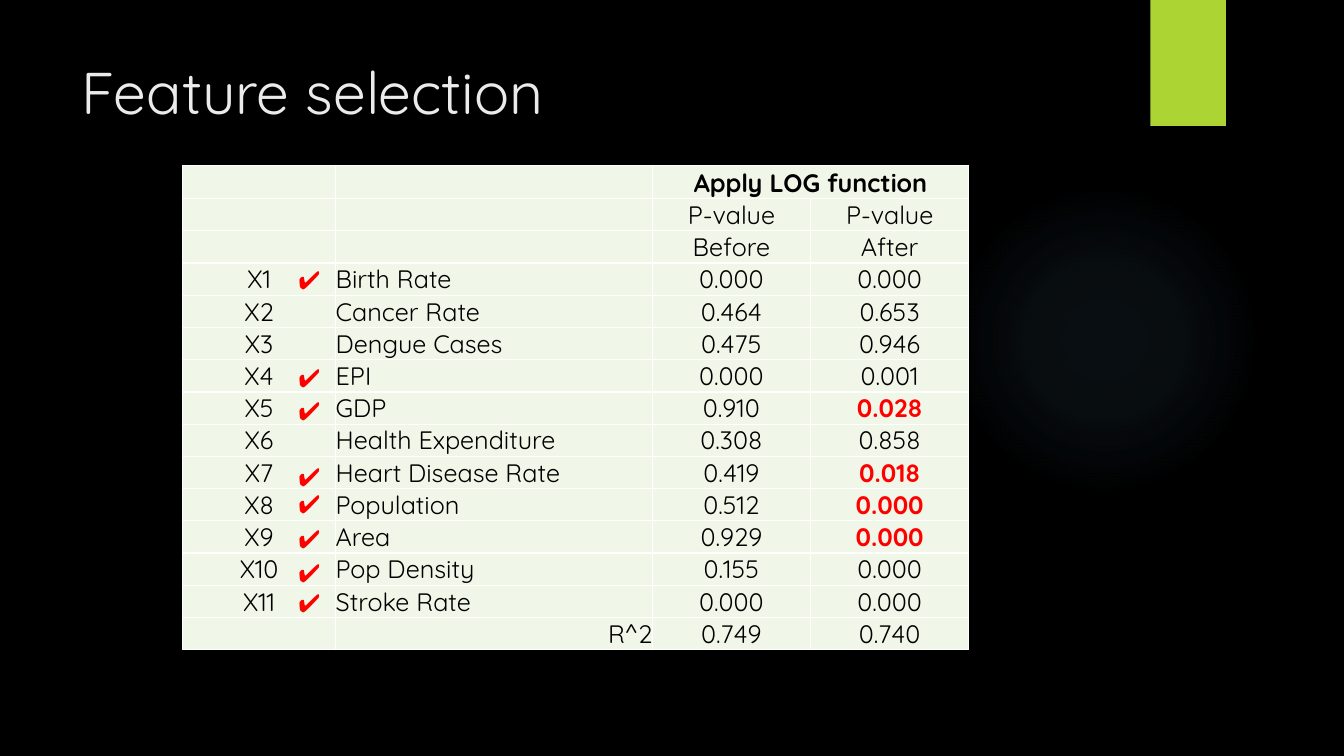
from lxml import etree
from pptx import Presentation, util as u
from pptx.dml.color import RGBColor
from pptx.enum import shapes, text
from pptx.oxml import parse_xml
from pptx.oxml.ns import nsdecls, qn

PX = 9144
SLIDE = (1333, 750)
TITLE = "Feature selection"
HEAD = [
    ("", "", "Apply LOG function", ""),
    ("", "", "P-value", "P-value"),
    ("", "", "Before", "After"),
]
FEATURES = [
    ("Birth Rate", "0.000", "0.000"),
    ("Cancer Rate", "0.464", "0.653"),
    ("Dengue Cases", "0.475", "0.946"),
    ("EPI", "0.000", "0.001"),
    ("GDP", "0.910", "0.028"),
    ("Health Expenditure", "0.308", "0.858"),
    ("Heart Disease Rate", "0.419", "0.018"),
    ("Population", "0.512", "0.000"),
    ("Area", "0.929", "0.000"),
    ("Pop Density", "0.155", "0.000"),
    ("Stroke Rate", "0.000", "0.000"),
]
FOOT = [("", "R^2", "0.749", "0.740")]
IMPROVED = {"GDP", "Heart Disease Rate", "Population", "Area"}
CHECK_TOPS = [257, 355, 387, 453, 480, 514, 548, 578]
COLS = [152, 314, 157, 157]
FIRST_ROW, ROW = 33, 32
GLOW = [(0, 7), (36, 6), (69, 0)]
BODY = dict(name="Quicksand", size=u.Pt(18), bold=False)
CHECK = dict(name="Arial", size=u.Pt(18))
HEADING = dict(name="Quicksand", size=u.Pt(42))


def px(*values):
    return [u.Emu(v * PX) for v in values]


def rgb(value):
    return RGBColor.from_string(value)


def write(p, words, color, fmt):
    r = p.add_run()
    r.text = words
    for key, value in fmt.items():
        setattr(r.font, key, value)
    r.font.color.rgb = rgb(color)


def add_shape(s, kind, *box):
    sp = s.shapes.add_shape(kind, *px(*box))
    sp.shadow.inherit = False
    sp.line.fill.background()
    return sp


def add_text(s, box, words, color, fmt):
    tf = s.shapes.add_textbox(*px(*box)).text_frame
    tf.word_wrap = True
    tf.vertical_anchor = text.MSO_ANCHOR.TOP
    write(tf.paragraphs[0], words, color, fmt)


def add_glow(s):
    sp = add_shape(s, shapes.MSO_SHAPE.OVAL, 941, 183, 308, 308)
    stops = "".join(
        f'<a:gs pos="{at * 1000}"><a:srgbClr val="7AC4F0">'
        f'<a:alpha val="{alpha * 1000}"/></a:srgbClr></a:gs>'
        for at, alpha in GLOW)
    grad = parse_xml(
        f'<a:gradFill {nsdecls("a")}><a:gsLst>{stops}</a:gsLst>'
        '<a:path path="circle"><a:fillToRect l="50000" t="50000" r="50000" b="50000"/>'
        '</a:path></a:gradFill>')
    sp._element.spPr.find(qn("a:prstGeom")).addnext(grad)


def style_cell(cell):
    for side in ("left", "top", "right", "bottom"):
        setattr(cell, f"margin_{side}", 0)
    cell.vertical_anchor = text.MSO_ANCHOR.BOTTOM
    tcPr = cell._tc.get_or_add_tcPr()
    for side in "LRTB":
        tcPr.append(parse_xml(
            f'<a:ln{side} {nsdecls("a")} w="12700"><a:solidFill>'
            f'<a:srgbClr val="FFFFFF"/></a:solidFill></a:ln{side}>'))
    cell.fill.solid()
    cell.fill.fore_color.rgb = rgb("F1F7E8")


def add_table(s):
    rows = HEAD + [(f"X{i}", *f) for i, f in enumerate(FEATURES, 1)] + FOOT
    heights = [FIRST_ROW] + [ROW] * (len(rows) - 1)
    box = px(181, 164, sum(COLS), sum(heights))
    tbl = s.shapes.add_table(len(rows), len(COLS), *box).table
    tbl.first_row = tbl.horz_banding = False
    for col, width in zip(tbl.columns, px(*COLS)):
        col.width = width
    for row, height in zip(tbl.rows, px(*heights)):
        row.height = height
    for i, row in enumerate(rows):
        for j, words in enumerate(row):
            cell = tbl.cell(i, j)
            style_cell(cell)
            p = cell.text_frame.paragraphs[0]
            if not words:
                etree.SubElement(p._p, qn("a:endParaRPr"), sz="1800")
                continue
            if j != 1:
                p.alignment = text.PP_ALIGN.CENTER
            elif row in FOOT:
                p.alignment = text.PP_ALIGN.RIGHT
            improved = j == 3 and row[1] in IMPROVED
            color = "FF0000" if improved else "000000"
            write(p, words, color, BODY | dict(bold=improved or i == 0))
    tbl.cell(0, 2).merge(tbl.cell(0, 3))


def main():
    prs = Presentation()
    prs.slide_width, prs.slide_height = px(*SLIDE)
    s = prs.slides.add_slide(prs.slide_layouts[6])
    s.background.fill.solid()
    s.background.fill.fore_color.rgb = rgb("000000")
    add_glow(s)
    tab = add_shape(s, shapes.MSO_SHAPE.RECTANGLE, 1141, 0, 75, 125)
    tab.fill.solid()
    tab.fill.fore_color.rgb = rgb("ACD433")
    add_table(s)
    add_text(s, (71, 50, 1029, 93), TITLE, "EBEBEB", HEADING)
    for top in CHECK_TOPS:
        add_text(s, (286, top, 51, 40), "✔", "FF0000", CHECK)
    prs.save("out.pptx")


if __name__ == "__main__":
    main()
